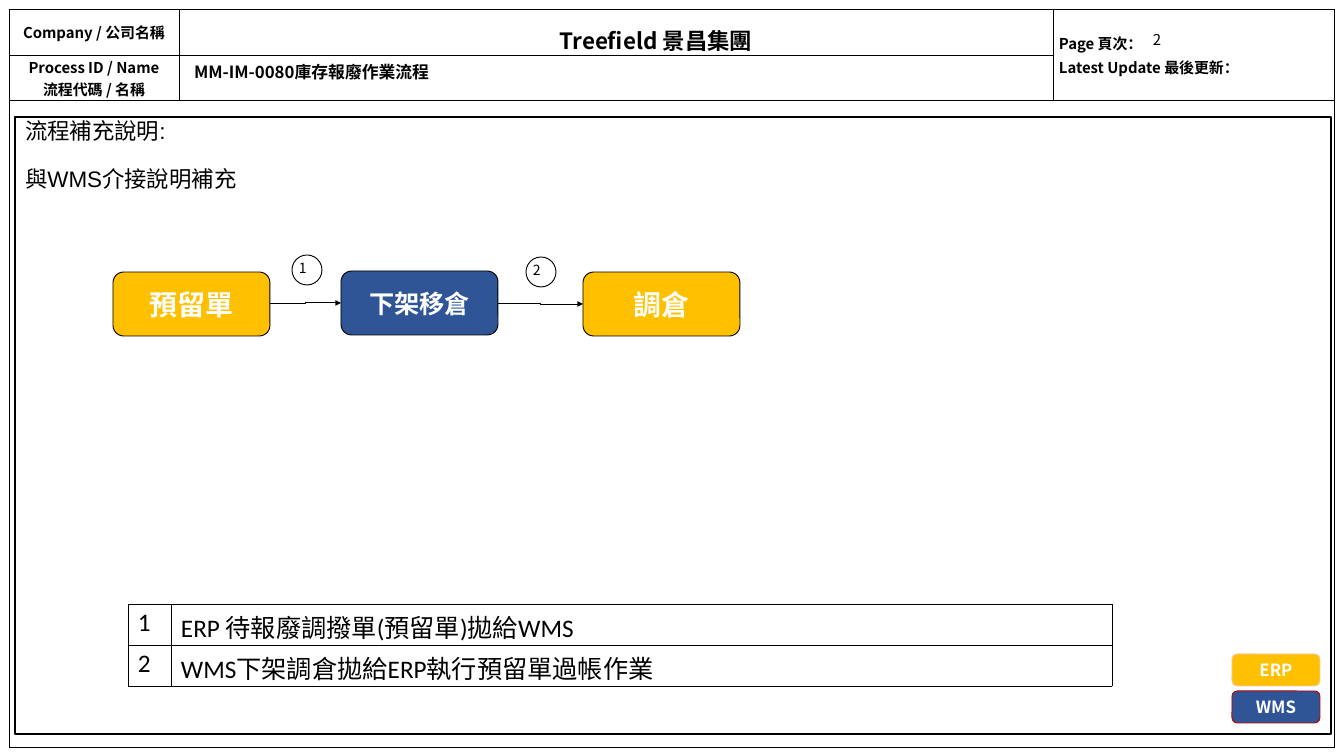
from lxml import etree
from pptx import Presentation
from pptx import util as u
from pptx.dml import color
from pptx.enum import shapes, text
from pptx.oxml import ns

COLORS = {
    "black": "000000",
    "white": "FFFFFF",
    "amber": "FFC000",
    "blue": "2F5597",
    "peach": "F8CBAD",
    "red": "C00000",
}
SANS_SC = "Noto Sans CJK SC"
SANS_TC = "Noto Sans CJK TC"
LEFT, CENTER = text.PP_ALIGN.LEFT, text.PP_ALIGN.CENTER
TOP, MIDDLE = text.MSO_ANCHOR.TOP, text.MSO_ANCHOR.MIDDLE
ROUNDED = shapes.MSO_SHAPE.ROUNDED_RECTANGLE


def px(value):
    return u.Emu(round(value * 914400 / 67.2))


def rgb(name):
    return color.RGBColor.from_string(COLORS[name])


def add_element(parent, tag, **attributes):
    return etree.SubElement(parent, ns.qn(tag), **attributes)


class SlideBuilder:
    def __init__(self, slide):
        self.slide = slide

    def set_text(self, frame, lines, size, font=SANS_SC, ink="black", bold=False,
                 align=LEFT, anchor=TOP, insets=(10, 5), gap=0):
        frame.word_wrap = True
        frame.auto_size = text.MSO_AUTO_SIZE.NONE
        frame.vertical_anchor = anchor
        frame.margin_left = frame.margin_right = px(insets[0])
        frame.margin_top = frame.margin_bottom = px(insets[1])
        self.fill_paragraphs(frame, lines, size, font, ink, bold, align, gap)

    def fill_paragraphs(self, frame, lines, size, font, ink="black", bold=False,
                        align=LEFT, gap=0):
        for index, line in enumerate(lines):
            paragraph = frame.paragraphs[0] if index == 0 else frame.add_paragraph()
            paragraph.text = line
            paragraph.alignment = align
            paragraph.space_before = u.Pt(gap if index else 0)
            properties = paragraph._p.get_or_add_pPr()
            properties.set("marL", "0")
            properties.set("indent", "0")
            add_element(properties, "a:buNone")
            paragraph.font.size = u.Pt(size)
            paragraph.font.bold = bold
            paragraph.font.color.rgb = rgb(ink)
            paragraph.font.name = font
            east_asian = font if font.startswith("Noto") else SANS_TC
            add_element(properties.find(ns.qn("a:defRPr")), "a:ea", typeface=east_asian)

    def place(self, shape, left, top, width, height):
        shape.left, shape.top = px(left), px(top)
        shape.width, shape.height = px(width), px(height)

    def title(self, box, line, **style):
        shape = self.slide.shapes.title
        self.place(shape, *box)
        self.set_text(shape.text_frame, [line], **style)

    def body(self, box, lines, **style):
        shape = self.slide.placeholders[1]
        self.place(shape, *box)
        shape.line.color.rgb = rgb("black")
        shape.line.width = u.Pt(1.5)
        self.set_text(shape.text_frame, lines, **style)

    def label(self, box, line, **style):
        shape = self.slide.shapes.add_textbox(*map(px, box))
        self.set_text(shape.text_frame, [line], **style)

    def shape(self, kind, box, fill, line):
        shape = self.slide.shapes.add_shape(kind, *map(px, box))
        shape.shadow.inherit = False
        shape.fill.solid()
        shape.fill.fore_color.rgb = rgb(fill)
        shape.line.color.rgb = rgb(line)
        shape.line.width = u.Pt(1)
        return shape

    def step(self, box, caption, size, fill, line="black"):
        shape = self.shape(ROUNDED, box, fill, line)
        self.set_text(shape.text_frame, [caption], size, ink="white", bold=True,
                      align=CENTER, anchor=MIDDLE, insets=(5, 0))
        return shape

    def badge(self, left, top, number):
        self.shape(shapes.MSO_SHAPE.OVAL, (left, top, 30, 30), "white", "black")
        self.label((left, top + 2, 39, 24), number, size=15, insets=(7, 3))

    def arrow(self, start, end):
        connector = self.slide.shapes.add_connector(shapes.MSO_CONNECTOR.ELBOW, 0, 0, 0, 0)
        connector.begin_connect(start, 3)
        connector.end_connect(end, 1)
        connector.line.color.rgb = rgb("black")
        connector.line.width = u.Pt(1)
        properties = connector._element.spPr
        add_element(properties.find(ns.qn("a:ln")), "a:tailEnd", type="triangle")
        add_element(properties, "a:effectLst")

    def table(self, left, top, widths, heights):
        frame = self.slide.shapes.add_table(
            len(heights), len(widths), px(left), px(top), px(sum(widths)), px(sum(heights)))
        table = frame.table
        table.first_row = table.horz_banding = False
        for column, width in zip(table.columns, widths):
            column.width = px(width)
        for row, height in zip(table.rows, heights):
            row.height = px(height)
        for cell in table.iter_cells():
            properties = cell._tc.get_or_add_tcPr()
            for side in ("a:lnL", "a:lnR", "a:lnT", "a:lnB"):
                border = add_element(properties, side, w=str(int(u.Pt(0.96))))
                solid = add_element(border, "a:solidFill")
                add_element(solid, "a:srgbClr", val=COLORS["black"])
            cell.fill.background()
        return table

    def cell(self, cell, lines, size, font, insets=(6, 0, 6, 0), anchor=MIDDLE, **style):
        cell.margin_left, cell.margin_top, cell.margin_right, cell.margin_bottom = map(px, insets)
        cell.vertical_anchor = anchor
        self.fill_paragraphs(cell.text_frame, lines, size, font, **style)


def main():
    presentation = Presentation()
    presentation.slide_width, presentation.slide_height = px(1344), px(756)
    builder = SlideBuilder(presentation.slides.add_slide(presentation.slide_layouts[1]))

    builder.title((184, 57, 530, 34), "MM-IM-0080庫存報廢作業流程", size=18, bold=True)
    builder.body((15, 117, 1316, 617), ["流程補充說明:", "與WMS介接說明補充"],
                 size=24, font="Arial", insets=(10, 0), gap=23)

    header = builder.table(9, 9, (170, 874, 281), (46, 45, 647))
    header.cell(0, 2).merge(header.cell(1, 2))
    header.cell(2, 0).merge(header.cell(2, 2))
    bold = {"size": 16, "font": SANS_TC, "bold": True}
    builder.cell(header.cell(0, 0), ["Company / 公司名稱"], align=CENTER, **bold)
    builder.cell(header.cell(1, 0), ["Process ID / Name", "流程代碼 / 名稱"],
                 align=CENTER, **bold)
    builder.cell(header.cell(0, 2), ["Page 頁次：", "Latest Update 最後更新："],
                 gap=3, **bold)
    builder.label((400, 27, 512, 33), "Treefield 景昌集團", size=24, font=SANS_TC,
                  bold=True, align=CENTER, insets=(0, 0))
    builder.label((1146, 28, 40, 30), "2", size=16, insets=(7, 3))

    reserve = builder.step((113, 272, 157, 64), "預留單", 30, "amber")
    pick = builder.step((341, 271, 157, 64), "下架移倉", 27, "blue")
    transfer = builder.step((583, 272, 157, 64), "調倉", 30, "amber")
    builder.arrow(reserve, pick)
    builder.arrow(pick, transfer)
    builder.badge(292, 255, "1")
    builder.badge(526, 257, "2")

    builder.step((1232, 654, 88, 32), "ERP", 18, "amber", "peach")
    builder.step((1232, 691, 88, 32), "WMS", 18, "blue", "red")

    notes = ["ERP 待報廢調撥單(預留單)拋給WMS", "WMS下架調倉拋給ERP執行預留單過帳作業"]
    legend = builder.table(128, 604, (43, 941), (41, 41))
    for row, note in enumerate(notes):
        for column, line in enumerate((str(row + 1), note)):
            builder.cell(legend.cell(row, column), [line], 27, "Calibri",
                         insets=(10, 4, 10, 0), anchor=TOP)

    presentation.save("out.pptx")


if __name__ == "__main__":
    main()
